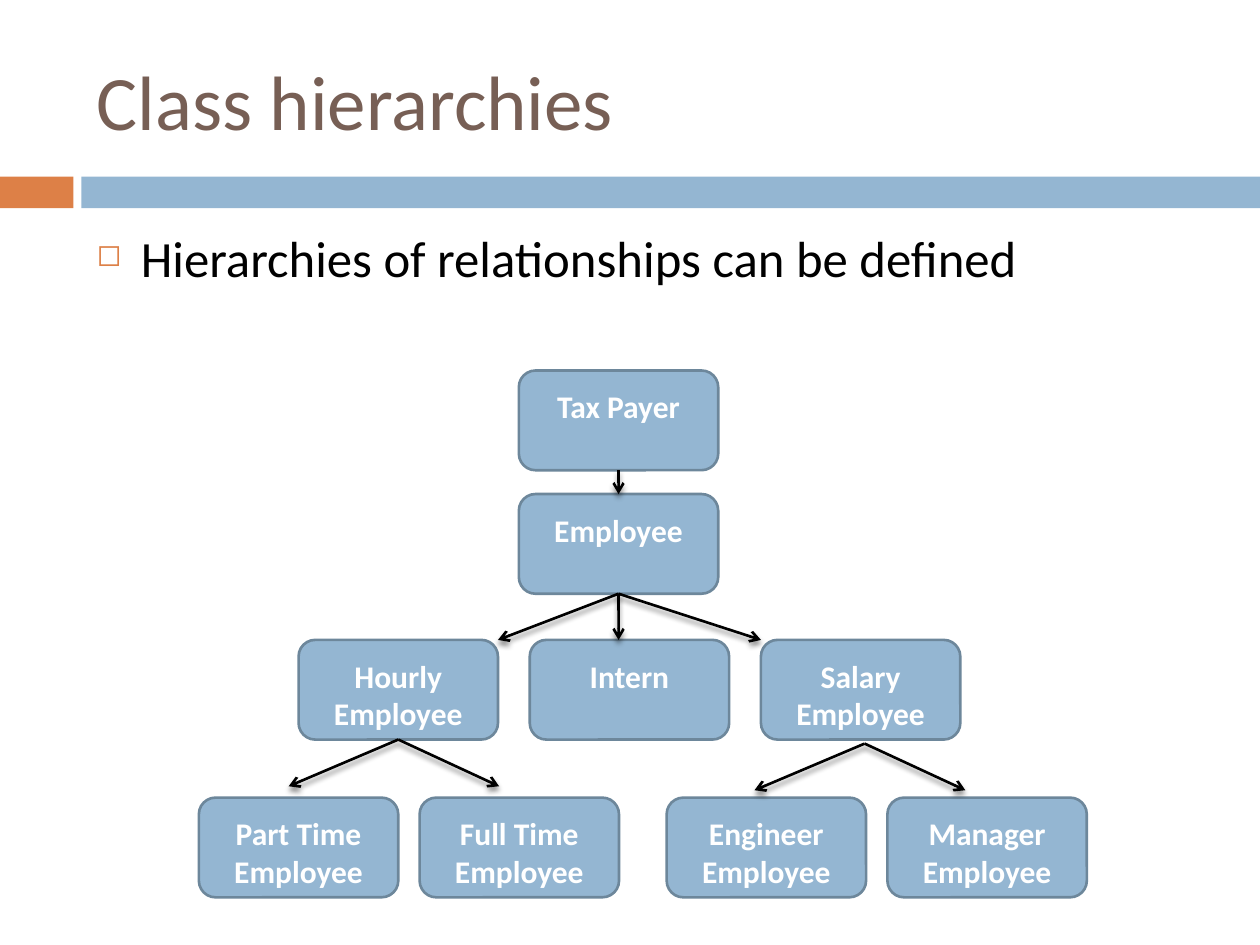
from pptx import Presentation
from pptx.dml.color import RGBColor
from pptx.enum.shapes import MSO_CONNECTOR, MSO_SHAPE
from pptx.enum.text import MSO_ANCHOR, PP_ALIGN
from pptx.oxml import parse_xml
from pptx.oxml.ns import nsdecls
from pptx.util import Cm, Pt

RECT, ROUND = MSO_SHAPE.RECTANGLE, MSO_SHAPE.ROUNDED_RECTANGLE
STRAIGHT = MSO_CONNECTOR.STRAIGHT
TOP, MIDDLE = MSO_ANCHOR.TOP, MSO_ANCHOR.MIDDLE
LEFT, CENTER = PP_ALIGN.LEFT, PP_ALIGN.CENTER

BLUE = RGBColor(0x94, 0xB6, 0xD2)
EDGE = RGBColor(0x6D, 0x87, 0x9B)
ORANGE = RGBColor(0xDD, 0x80, 0x47)
BROWN = RGBColor(0x77, 0x5F, 0x55)
BLACK = RGBColor(0, 0, 0)
WHITE = RGBColor(0xFF, 0xFF, 0xFF)

BOX_W, BOX_H = 4.02, 2.01
UPPER_X = 10.46
MID_X, MID_Y, MID_STEP = 6.02, 12.9, 4.66
LEAF_Y, LEAF_STEP = 16.08, 4.45


def put_text(frame, text, size, color, bold=False, align=LEFT, anchor=TOP):
    frame.word_wrap = True
    frame.vertical_anchor = anchor
    para = frame.paragraphs[0]
    para.alignment = align
    run = para.add_run()
    run.text = text
    font = run.font
    font.name, font.size, font.bold = "Calibri", Pt(size), bold
    font.color.rgb = color
    return para


class Deck:
    font_size = 18
    line_width = Pt(1.5)

    def __init__(self, slide):
        self.slide = slide
        self.shapes = slide.shapes

    def shape(self, kind, x, y, w, h, fill):
        item = self.shapes.add_shape(kind, Cm(x), Cm(y), Cm(w), Cm(h))
        item.shadow.inherit = False
        item.fill.solid()
        item.fill.fore_color.rgb = fill
        item.line.fill.background()
        return item

    def text(self, x, y, w, h, text, **style):
        box = self.shapes.add_textbox(Cm(x), Cm(y), Cm(w), Cm(h))
        return put_text(box.text_frame, text, **style)

    def bullet(self, para, mark, indent):
        """Give a paragraph a small orange mark and a hanging indent."""
        para.space_before = Pt(7)
        props = para._p.get_or_add_pPr()
        props.set("marL", str(Cm(indent)))
        props.set("indent", str(-Cm(indent)))
        for tag in (
            f'<a:buClr {nsdecls("a")}><a:srgbClr val="{ORANGE}"/></a:buClr>',
            f'<a:buSzPct {nsdecls("a")} val="60000"/>',
            f'<a:buChar {nsdecls("a")} char="{mark}"/>',
        ):
            props.append(parse_xml(tag))

    def node(self, x, y, text):
        box = self.shape(ROUND, x, y, BOX_W, BOX_H, BLUE)
        box.line.color.rgb = EDGE
        box.line.width = self.line_width
        frame = box.text_frame
        frame.margin_top = frame.margin_bottom = Cm(0.24)
        put_text(frame, text, self.font_size, WHITE, bold=True, align=CENTER)
        return box

    def arrow(self, start, end, source=None, target=None):
        """Draw an arrow, joined to the source's bottom and target's top if given."""
        points = [Cm(v) for v in (*start, *end)]
        link = self.shapes.add_connector(STRAIGHT, *points)
        if source:
            link.begin_connect(source, 2)
        if target:
            link.end_connect(target, 0)
        link.line.color.rgb = BLACK
        link.line.width = self.line_width
        link.line._get_or_add_ln().append(
            parse_xml(f'<a:tailEnd {nsdecls("a")} type="arrow"/>'))
        link._element.spPr.append(parse_xml(
            f'<a:effectLst {nsdecls("a")}><a:outerShdw blurRad="{Pt(3)}" '
            f'dist="{Pt(2.4)}" dir="5400000" rotWithShape="0">'
            f'<a:srgbClr val="{BLACK}"><a:alpha val="45000"/></a:srgbClr>'
            '</a:outerShdw></a:effectLst>'))

    def fan(self, start, ends, source=None):
        for end in ends:
            self.arrow(start, end, source)


def main():
    prs = Presentation()
    prs.slide_width, prs.slide_height = Cm(25.4), Cm(19.05)
    deck = Deck(prs.slides.add_slide(prs.slide_layouts[6]))

    deck.shape(RECT, 0, 3.56, 1.48, 0.64, ORANGE)
    deck.shape(RECT, 1.64, 3.56, 23.76, 0.64, BLUE)
    deck.text(1.7, 0.64, 22.66, 2.74, "Class hierarchies",
              size=44, color=BROWN, anchor=MIDDLE)
    para = deck.text(1.7, 4.45, 22.66, 2.11,
                     "Hierarchies of relationships can be defined",
                     size=29, color=BLACK)
    deck.bullet(para, "◻", 0.89)

    payer = deck.node(UPPER_X, 7.47, "Tax Payer")
    staff = deck.node(UPPER_X, 9.96, "Employee")
    names = ("Hourly Employee", "Intern", "Salary Employee")
    hourly, _, _ = [deck.node(MID_X + i * MID_STEP, MID_Y, name)
                    for i, name in enumerate(names)]
    for left, pair in ((4.01, ("Part Time", "Full Time")),
                       (13.44, ("Engineer", "Manager"))):
        for i, name in enumerate(pair):
            deck.node(left + i * LEAF_STEP, LEAF_Y, f"{name} Employee")

    stem = UPPER_X + BOX_W / 2
    deck.arrow((stem, 9.48), (stem, 9.96), payer, staff)
    deck.fan((stem, 11.97),
             [(MID_X + BOX_W, MID_Y), (stem, MID_Y),
              (MID_X + 2 * MID_STEP, MID_Y)], staff)
    deck.fan((8.03, 14.91), [(5.82, 15.85), (10.06, 15.85)], hourly)
    deck.fan((17.43, 14.99), [(15.21, 15.93), (19.46, 15.93)])

    prs.save("out.pptx")


if __name__ == "__main__":
    main()
